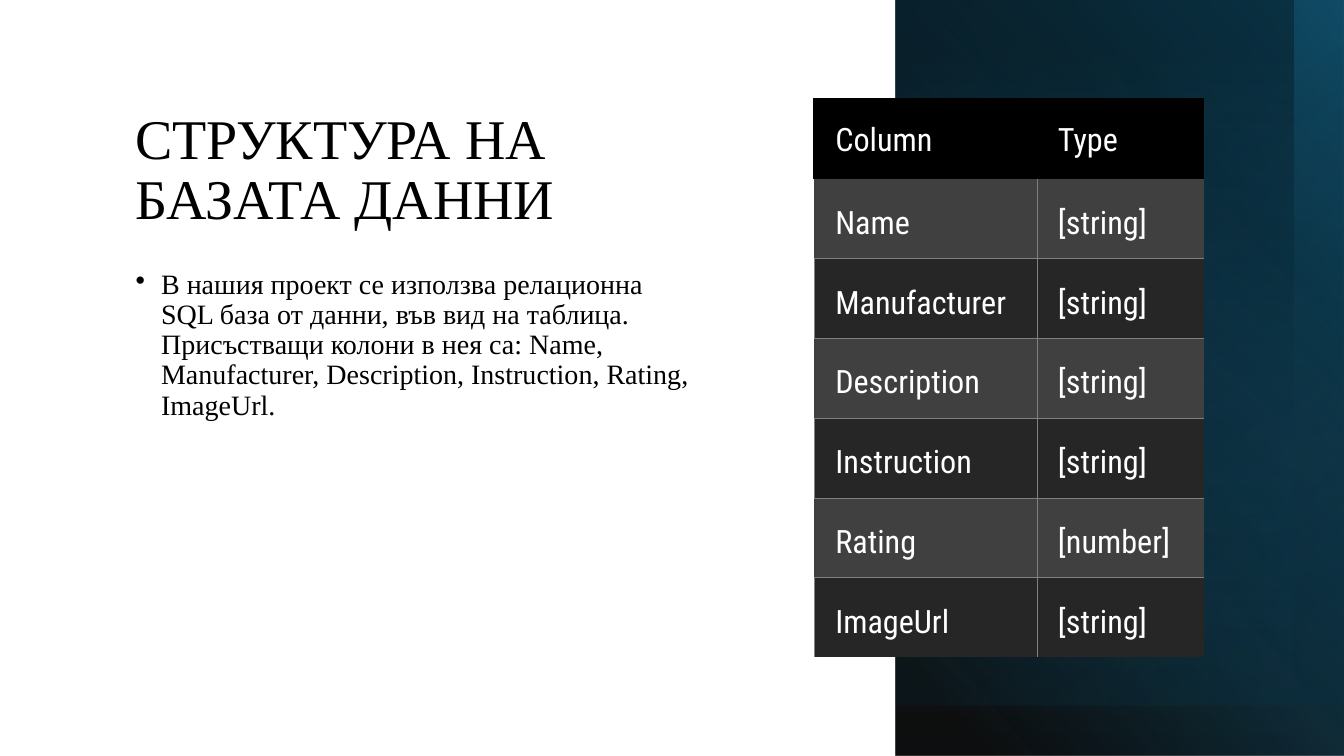
"""Build the database structure slide with its column table."""
from pptx import Presentation
from pptx.dml.color import RGBColor
from pptx.enum.shapes import MSO_SHAPE
from pptx.enum.text import MSO_ANCHOR, MSO_AUTO_SIZE, PP_ALIGN
from pptx.oxml import parse_xml
from pptx.oxml.ns import nsdecls, qn
from pptx.util import Cm, Pt

TITLE = "СТРУКТУРА НА БАЗАТА ДАННИ"
BODY = (
    "В нашия проект се използва релационна SQL база от данни, във вид на таблица. "
    "Присъстващи колони в нея са: Name, Manufacturer, Description, Instruction, "
    "Rating, ImageUrl."
)
ROWS = [
    ("Column", "Type"),
    ("Name", "[string]"),
    ("Manufacturer", "[string]"),
    ("Description", "[string]"),
    ("Instruction", "[string]"),
    ("Rating", "[number]"),
    ("ImageUrl", "[string]"),
]
COLORS = {
    "black": "000000",
    "white": "FFFFFF",
    "blue": "156082",
    "navy": "0B3041",
    "odd": "404040",
    "even": "262626",
    "grid": "808080",
}
SERIF = "Times New Roman"
CONDENSED = "Roboto Condensed"
PANEL_LEFT = 22.56
PANELS = [
    (11.38, 19.05, 40, [(8, "black", 94), (100, "blue", 100)]),
    (11.38, 17.78, 300, [(31, "navy", 0), (100, "navy", 26)]),
    (11.3, 17.78, 50, [(0, "blue", 0), (72, "black", 21)]),
    (10.03, 19.05, 90, [(0, "blue", 0), (93, "black", 29)]),
]
TABLE_LEFT, TABLE_TOP = 20.52, 2.5
COLUMN_WIDTHS = (5.61, 4.22)
ROW_HEIGHT = 2.01
NO_GRID_STYLE = "{2D5ABB26-0587-4C30-8999-92F81FD0307C}"


def format_paragraph(paragraph, font_name, size, color, line_spacing):
    paragraph.alignment = PP_ALIGN.LEFT
    paragraph.line_spacing = line_spacing
    paragraph.font.name = font_name
    paragraph.font.size = Pt(size)
    paragraph.font.color.rgb = RGBColor.from_string(COLORS[color])


def add_title(slide):
    title = slide.shapes.title
    title.left, title.top, title.width, title.height = Cm(3.15), Cm(1.4), Cm(14.78), Cm(4.57)
    frame = title.text_frame
    frame.text = TITLE
    frame.word_wrap = True
    frame.auto_size = MSO_AUTO_SIZE.NONE
    frame.vertical_anchor = MSO_ANCHOR.BOTTOM
    format_paragraph(frame.paragraphs[0], SERIF, 40, "black", 0.9)


def add_body(slide):
    frame = slide.shapes.add_textbox(Cm(3.17), Cm(6.68), Cm(14.76), Cm(9.83)).text_frame
    frame.text = BODY
    frame.word_wrap = True
    paragraph = frame.paragraphs[0]
    format_paragraph(paragraph, SERIF, 20, "black", 0.9)
    paragraph.space_before = Pt(10)
    properties = paragraph._p.get_or_add_pPr()
    properties.set("marL", str(Cm(0.64)))
    properties.set("indent", str(-Cm(0.64)))
    bullet = parse_xml(f'<a:buChar {nsdecls("a")} char="•"/>')
    properties.insert_element_before(bullet, "a:tabLst", "a:defRPr", "a:extLst")


def add_panel(slide, width, height, angle, stops):
    shape = slide.shapes.add_shape(
        MSO_SHAPE.RECTANGLE, Cm(PANEL_LEFT), Cm(0), Cm(width), Cm(height)
    )
    shape.shadow.inherit = False
    shape.rotation = 180
    shape.fill.background()
    shape.line.fill.background()
    properties = shape._element.spPr
    properties.find(qn("a:xfrm")).set("flipH", "1")
    stop_xml = "".join(
        f'<a:gs pos="{position * 1000}"><a:srgbClr val="{COLORS[color]}">'
        f'<a:alpha val="{opacity * 1000}"/></a:srgbClr></a:gs>'
        for position, color, opacity in stops
    )
    gradient = parse_xml(
        f'<a:gradFill {nsdecls("a")} rotWithShape="1"><a:gsLst>{stop_xml}</a:gsLst>'
        f'<a:lin ang="{angle * 60000}" scaled="0"/></a:gradFill>'
    )
    properties.replace(properties.find(qn("a:noFill")), gradient)


def cell_borders(row, column):
    if row == 0:
        return "LT" if column == 0 else "T"
    if row % 2:
        return "RB" if column == 0 else "LB"
    return "LRT" if column == 0 else "LT"


def set_borders(cell, sides, color, width):
    properties = cell._tc.get_or_add_tcPr()
    for index, side in enumerate(sides):
        border = parse_xml(
            f'<a:ln{side} {nsdecls("a")} w="{Pt(width)}"><a:solidFill>'
            f'<a:srgbClr val="{COLORS[color]}"/></a:solidFill></a:ln{side}>'
        )
        properties.insert(index, border)


def format_cell(cell, text, row, column):
    header = row == 0
    cell.text = text
    cell.margin_left, cell.margin_right = Cm(0.53), Cm(0.2)
    cell.margin_top = cell.margin_bottom = Cm(0.41)
    cell.vertical_anchor = MSO_ANCHOR.MIDDLE if header else MSO_ANCHOR.BOTTOM
    paragraph = cell.text_frame.paragraphs[0]
    format_paragraph(paragraph, CONDENSED, 23, "white", 1.07)
    paragraph.space_after = Pt(8)
    fill = "black" if header else ("odd" if row % 2 else "even")
    cell.fill.solid()
    cell.fill.fore_color.rgb = RGBColor.from_string(COLORS[fill])
    color, width = ("black", 1.5) if header else ("grid", 0.5)
    set_borders(cell, cell_borders(row, column), color, width)


def add_column_table(slide):
    frame = slide.shapes.add_table(
        len(ROWS), len(COLUMN_WIDTHS), Cm(TABLE_LEFT), Cm(TABLE_TOP),
        Cm(sum(COLUMN_WIDTHS)), Cm(ROW_HEIGHT * len(ROWS)),
    )
    table = frame.table
    table.first_row = table.horz_banding = False
    table._tbl.tblPr.find(qn("a:tableStyleId")).text = NO_GRID_STYLE
    for column, width in zip(table.columns, COLUMN_WIDTHS):
        column.width = Cm(width)
    for row, texts in enumerate(ROWS):
        table.rows[row].height = Cm(ROW_HEIGHT)
        for column, text in enumerate(texts):
            format_cell(table.cell(row, column), text, row, column)


def main():
    presentation = Presentation()
    presentation.slide_width, presentation.slide_height = Cm(33.87), Cm(19.05)
    slide = presentation.slides.add_slide(presentation.slide_layouts[5])
    slide.background.fill.solid()
    slide.background.fill.fore_color.rgb = RGBColor.from_string(COLORS["white"])
    add_title(slide)
    add_body(slide)
    for panel in PANELS:
        add_panel(slide, *panel)
    add_column_table(slide)
    presentation.save("out.pptx")


if __name__ == "__main__":
    main()
